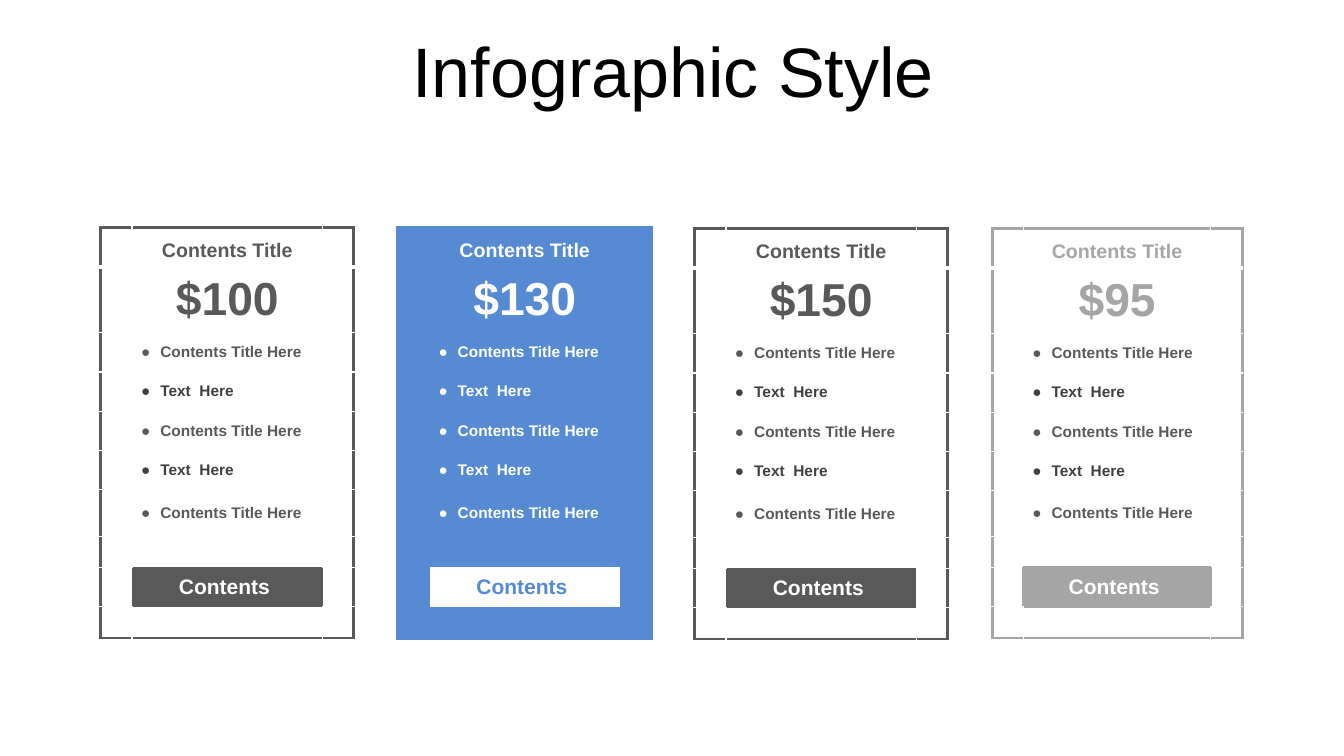
from dataclasses import dataclass
from typing import Optional

from lxml.etree import SubElement
from pptx import Presentation
from pptx.dml.color import RGBColor
from pptx.enum.text import MSO_ANCHOR as Anchor, PP_ALIGN as Align
from pptx.oxml.ns import qn
from pptx.util import Inches, Pt

BLACK = RGBColor(0x00, 0x00, 0x00)
WHITE = RGBColor(0xFF, 0xFF, 0xFF)
BLUE = RGBColor(0x56, 0x8A, 0xD3)
DARK = RGBColor(0x59, 0x59, 0x59)
DARKER = RGBColor(0x40, 0x40, 0x40)
GREY = RGBColor(0xA5, 0xA5, 0xA5)

FONT = "Arial"
ROW_HEIGHTS = [0.39, 0.65, 0.39, 0.39, 0.39, 0.39, 0.46, 0.31, 0.39, 0.31]
SIDE_WIDTH = 0.31
LAST_ROW = len(ROW_HEIGHTS) - 1
LAST_COLUMN = 2
FEATURE_ROWS = range(2, 7)
BUTTON = (8, 1)
SIDES = {"L": (0, -1), "R": (0, 1), "T": (-1, 0), "B": (1, 0)}


@dataclass
class Plan:
    left: float
    top: float
    price: str
    accent: RGBColor
    background: RGBColor = WHITE
    heading_color: RGBColor = DARK
    feature_colors: tuple = (DARK, DARKER)
    button_fill: RGBColor = DARK
    button_text: RGBColor = WHITE
    button_line: Optional[RGBColor] = None
    frame_width: float = 2.25
    inner_lines: bool = True
    middle_width: float = 1.89
    last_feature_height: float = 0.46


PLANS = [
    Plan(1, 2.26, "$100", DARK),
    Plan(3.95, 2.26, "$130", BLUE, background=BLUE, heading_color=WHITE,
         feature_colors=(WHITE, WHITE), button_fill=WHITE, button_text=BLUE,
         frame_width=3, inner_lines=False),
    Plan(6.89, 2.27, "$150", DARK),
    Plan(9.84, 2.27, "$95", GREY, heading_color=GREY, button_fill=GREY,
         button_line=GREY, middle_width=1.86, last_feature_height=0.45),
]


def write_text(frame, text, size, color, bold=True, align=Align.CENTER, bullet=None):
    paragraph = frame.paragraphs[0]
    paragraph.alignment = align
    run = paragraph.add_run()
    run.text = text
    run.font.name = FONT
    run.font.size = Pt(size)
    run.font.bold = bold
    run.font.color.rgb = color
    if bullet:
        properties = paragraph._p.get_or_add_pPr()
        properties.set("marL", str(Inches(0.19)))
        properties.set("indent", str(-Inches(0.19)))
        SubElement(properties, qn("a:buFont"), typeface=FONT)
        SubElement(properties, qn("a:buChar"), char=bullet)
    return paragraph


def add_title(slide, text):
    box = slide.shapes.add_textbox(Inches(0.35), Inches(0.37), Inches(12.66), Inches(0.79))
    frame = box.text_frame
    frame.word_wrap = True
    frame.vertical_anchor = Anchor.MIDDLE
    frame.margin_top = Inches(0.1)
    paragraph = write_text(frame, text, 50, BLACK, bold=False)
    paragraph.line_spacing = 0.7
    paragraph.space_before = Pt(10)


def edge_style(plan, row, column, side):
    row_step, column_step = SIDES[side]
    neighbour = (row + row_step, column + column_step)
    inside = 0 <= neighbour[0] <= LAST_ROW and 0 <= neighbour[1] <= LAST_COLUMN
    if not inside:
        return plan.accent, plan.frame_width
    if BUTTON in ((row, column), neighbour):
        return plan.button_line, plan.frame_width
    if not plan.inner_lines:
        return None, 0
    return WHITE, 3 if row == 0 and side == "B" else 1


def set_border(cell, side, color, width):
    properties = cell._tc.get_or_add_tcPr()
    line = SubElement(properties, qn(f"a:ln{side}"), w=str(Pt(width)))
    if color is None:
        SubElement(line, qn("a:noFill"))
    else:
        fill = SubElement(line, qn("a:solidFill"))
        SubElement(fill, qn("a:srgbClr"), val=str(color))


def style_cell(cell, plan, row, column):
    for side in SIDES:
        set_border(cell, side, *edge_style(plan, row, column, side))
    cell.fill.solid()
    is_button = (row, column) == BUTTON
    cell.fill.fore_color.rgb = plan.button_fill if is_button else plan.background
    cell.vertical_anchor = Anchor.MIDDLE
    cell.margin_left = cell.margin_right = Inches(0.09)
    has_text = column == 1 and row not in (LAST_ROW, 7)
    cell.margin_top = cell.margin_bottom = Inches(0.05 if has_text else 0)


def add_plan(slide, plan):
    heights = list(ROW_HEIGHTS)
    heights[FEATURE_ROWS[-1]] = plan.last_feature_height
    widths = [SIDE_WIDTH, plan.middle_width, SIDE_WIDTH]
    table = slide.shapes.add_table(
        len(heights), len(widths), Inches(plan.left), Inches(plan.top),
        Inches(sum(widths)), Inches(sum(heights))).table
    table.first_row = table.horz_banding = False
    for column, width in zip(table.columns, widths):
        column.width = Inches(width)
    for row_index, height in enumerate(heights):
        table.rows[row_index].height = Inches(height)
        for column_index in range(len(widths)):
            style_cell(table.cell(row_index, column_index), plan, row_index, column_index)

    heading = table.cell(0, 1)
    heading.vertical_anchor = Anchor.BOTTOM
    write_text(heading.text_frame, "Contents Title", 14, plan.heading_color)
    write_text(table.cell(1, 1).text_frame, plan.price, 33, plan.heading_color)
    for index, row in enumerate(FEATURE_ROWS):
        text = ("Contents Title Here", "Text  Here")[index % 2]
        write_text(table.cell(row, 1).text_frame, text, 11, plan.feature_colors[index % 2],
                   align=Align.LEFT, bullet="●")
    write_text(table.cell(*BUTTON).text_frame, "Contents ", 15, plan.button_text)


def main():
    presentation = Presentation()
    presentation.slide_width = Inches(13.33)
    presentation.slide_height = Inches(7.5)
    slide = presentation.slides.add_slide(presentation.slide_layouts[6])
    add_title(slide, "Infographic Style")
    for plan in PLANS:
        add_plan(slide, plan)
    presentation.save("out.pptx")


if __name__ == "__main__":
    main()
